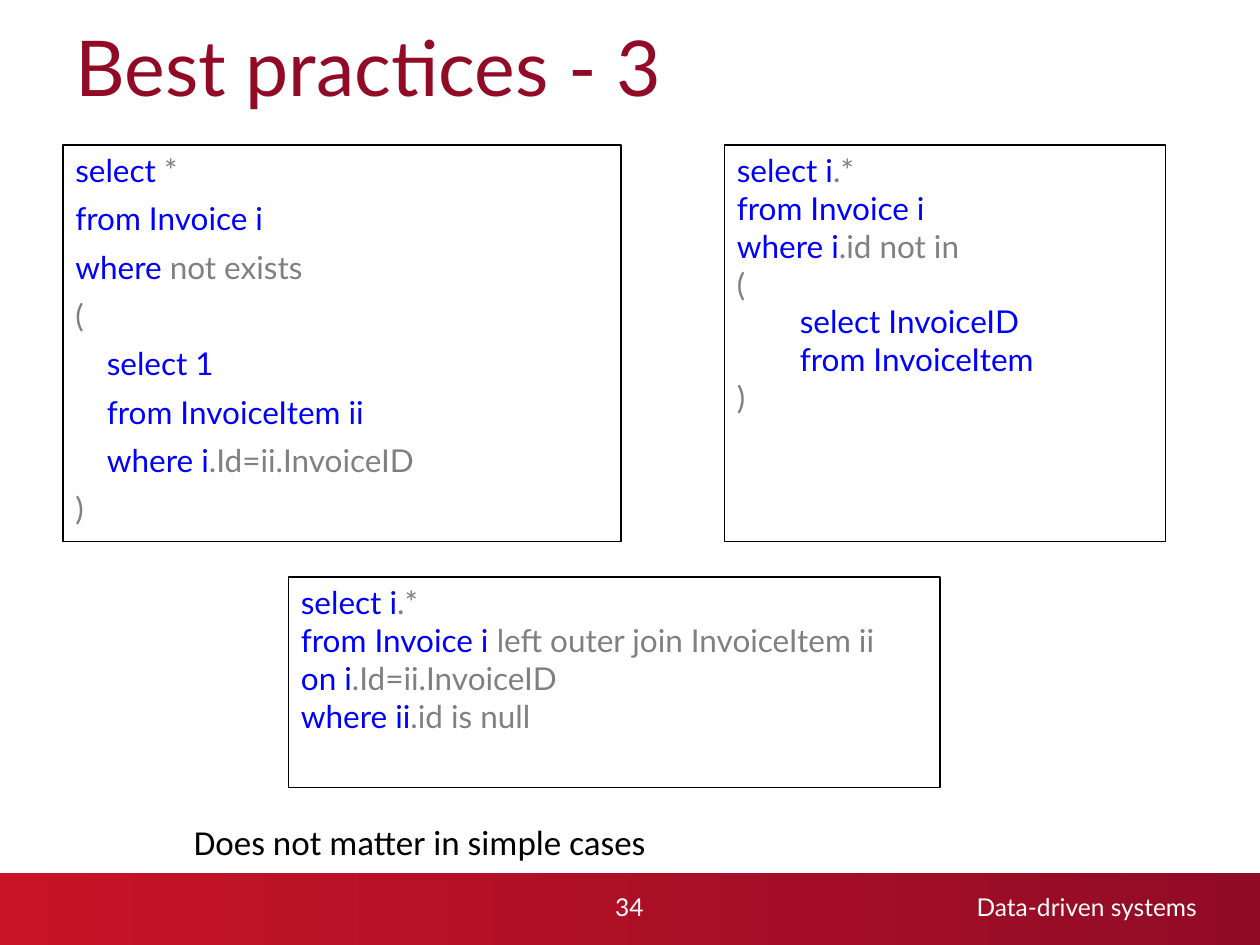
from pptx import Presentation
from pptx.dml.color import RGBColor
from pptx.enum.shapes import MSO_SHAPE
from pptx.enum.text import MSO_ANCHOR, PP_ALIGN
from pptx.util import Inches, Pt

RECTANGLE = MSO_SHAPE.RECTANGLE
TOP, MIDDLE = MSO_ANCHOR.TOP, MSO_ANCHOR.MIDDLE
LEFT, CENTER, RIGHT = PP_ALIGN.LEFT, PP_ALIGN.CENTER, PP_ALIGN.RIGHT
BLUE, GRAY = "0000FF", "808080"


def color(value):
    return RGBColor.from_string(value)


def add_rectangle(left, top, width, height):
    shape = slide.shapes.add_shape(
        RECTANGLE, Inches(left), Inches(top), Inches(width), Inches(height)
    )
    shape.shadow.inherit = False
    return shape


presentation = Presentation()
presentation.slide_width = Inches(10)
presentation.slide_height = Inches(7.5)
slide = presentation.slides.add_slide(presentation.slide_layouts[6])

footer_band = add_rectangle(-0.01, 6.93, 10.01, 0.57)
footer_band.fill.gradient()
footer_band.fill.gradient_angle = 0
for stop, position, value in zip(
    footer_band.fill.gradient_stops, (0, 1), ("C81426", "910B26")
):
    stop.position = position
    stop.color.rgb = color(value)
footer_band.line.fill.background()

labels = [
    ("Best practices - 3", (0.5, 0.13, 9, 0.87), (0.1, 0.1), MIDDLE, LEFT, "Lato", 44, "910A26", 0.9),
    ("Data-driven systems", (5.42, 7.03, 4.08, 0.34), (0.1, 0), MIDDLE, RIGHT, "Lato", 14, "FFFFFF", 1.0),
    ("34", (4.7, 7.03, 0.59, 0.34), (0.04, 0.04), MIDDLE, CENTER, "Lato", 14, "FFFFFF", 1.0),
    ("Does not matter in simple cases", (1.44, 6.46, 6.52, 0.44), (0.1, 0.1), TOP, LEFT, "Calibri", 20, "000000", 1.0),
]
for text, box, margins, anchor, alignment, font_name, size, text_color, spacing in labels:
    text_frame = slide.shapes.add_textbox(*map(Inches, box)).text_frame
    text_frame.word_wrap = True
    text_frame.margin_left, text_frame.margin_right = map(Inches, margins)
    text_frame.vertical_anchor = anchor
    paragraph = text_frame.paragraphs[0]
    paragraph.text = text
    paragraph.alignment = alignment
    paragraph.line_spacing = spacing
    paragraph.font.name = font_name
    paragraph.font.size = Pt(size)
    paragraph.font.color.rgb = color(text_color)

queries = [
    ((0.5, 1.15, 4.43, 3.15), 0.25, 6, [
        [("select ", BLUE), ("*", GRAY)],
        [("from Invoice i", BLUE)],
        [("where ", BLUE), ("not exists", GRAY)],
        [("(", GRAY)],
        [("\tselect 1", BLUE)],
        [("\tfrom InvoiceItem ii", BLUE)],
        [("\twhere i", BLUE), (".Id=ii.InvoiceID", GRAY)],
        [(")", GRAY)],
    ]),
    ((5.75, 1.15, 3.5, 3.15), 0, 0, [
        [("select i", BLUE), (".*", GRAY)],
        [("from Invoice i", BLUE)],
        [("where i", BLUE), (".id not in", GRAY)],
        [("(", GRAY)],
        [("\tselect InvoiceID", BLUE)],
        [("\tfrom InvoiceItem", BLUE)],
        [(")", GRAY)],
    ]),
    ((2.29, 4.58, 5.17, 1.67), 0, 0, [
        [("select i", BLUE), (".*", GRAY)],
        [("from Invoice i ", BLUE), ("left outer join InvoiceItem ii", GRAY)],
        [("on i", BLUE), (".Id=ii.InvoiceID", GRAY)],
        [("where ii", BLUE), (".id is null", GRAY)],
    ]),
]
for box, hanging, space_before, lines in queries:
    query_box = add_rectangle(*box)
    query_box.fill.background()
    query_box.line.color.rgb = color("000000")
    query_box.line.width = Pt(0.75)
    text_frame = query_box.text_frame
    text_frame.word_wrap = True
    text_frame.vertical_anchor = TOP
    for index, line in enumerate(lines):
        paragraph = text_frame.add_paragraph() if index else text_frame.paragraphs[0]
        paragraph.alignment = LEFT
        paragraph.space_before = Pt(space_before if index else 0)
        properties = paragraph._p.get_or_add_pPr()
        properties.set("marL", str(Inches(hanging)))
        properties.set("indent", str(-Inches(hanging)))
        paragraph.font.name = "Lato"
        paragraph.font.size = Pt(18)
        for text, text_color in line:
            run = paragraph.add_run()
            run.text = text
            run.font.color.rgb = color(text_color)

presentation.save("out.pptx")
